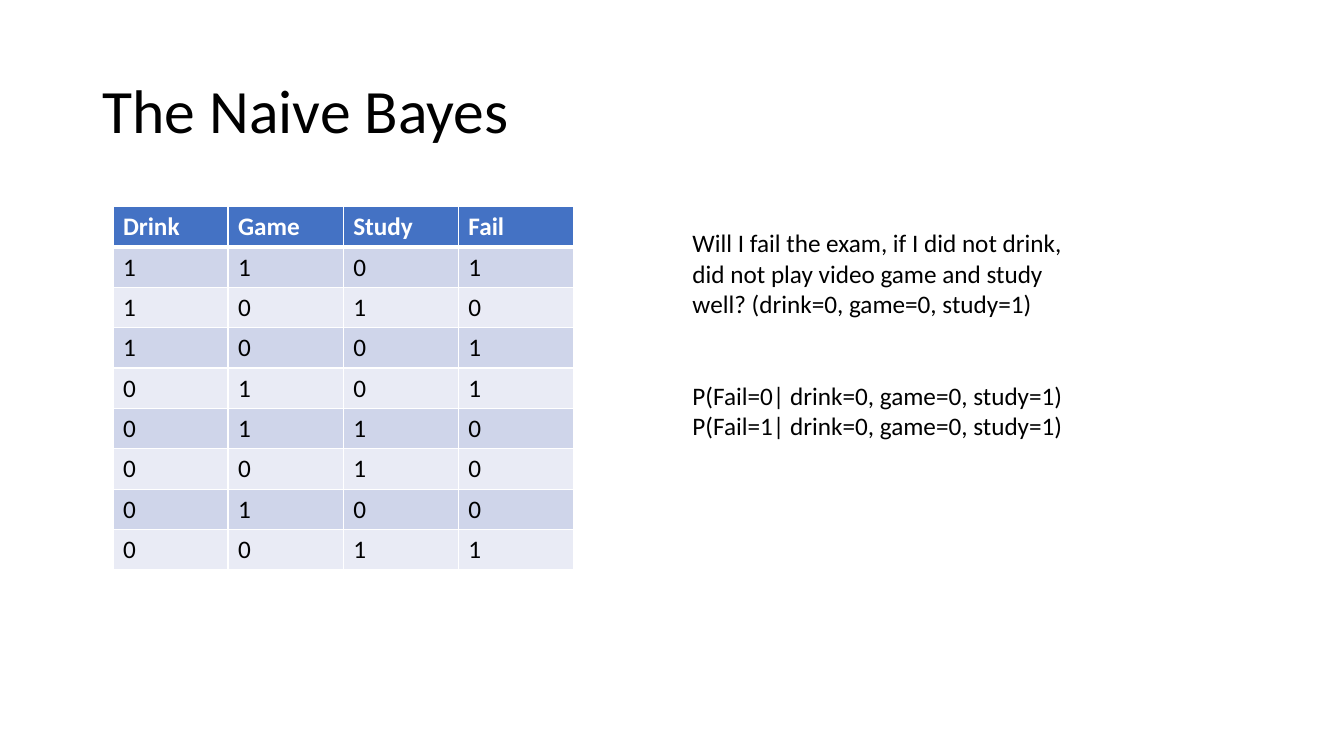
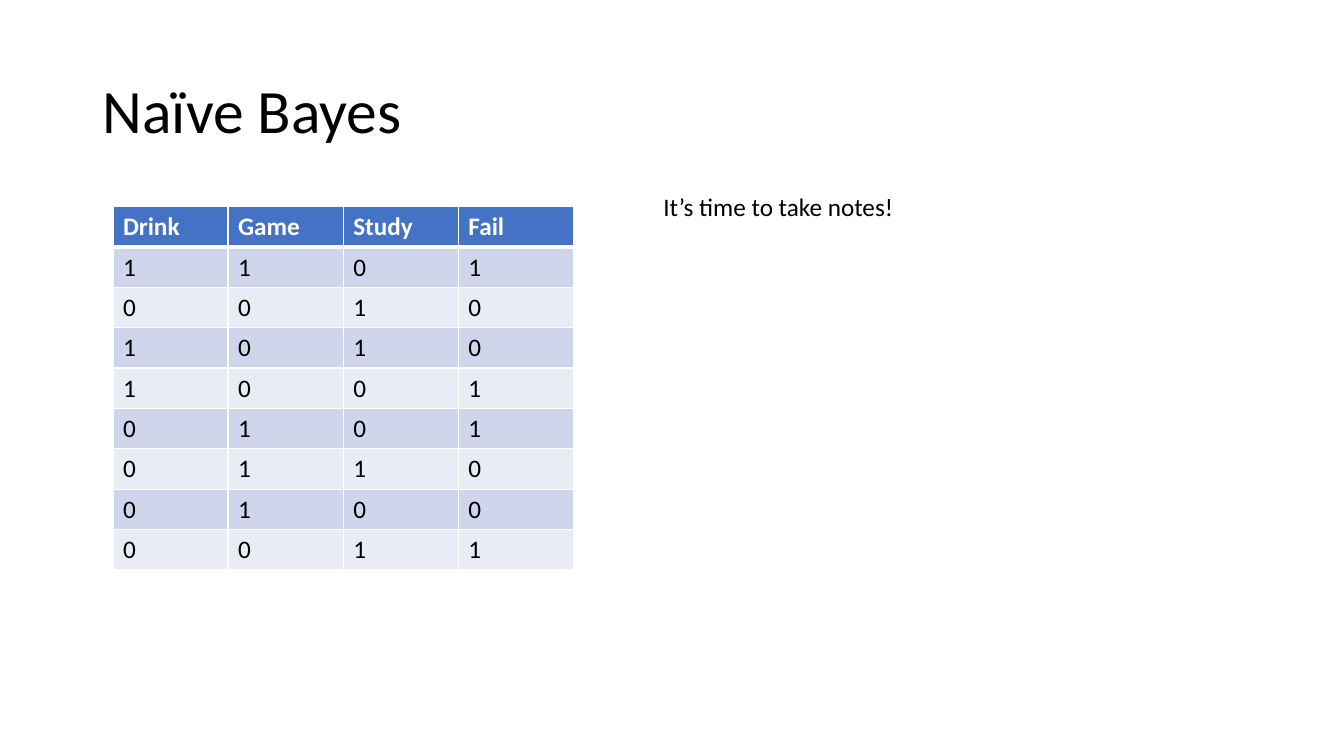
"""Build two slides on the naive Bayes exam example, each with a data table and a remark."""
from lxml import etree
from pptx import Presentation
from pptx import util as u
from pptx.dml.color import RGBColor
from pptx.enum import text
from pptx.oxml.ns import qn

FONT = "Calibri"
BLACK, WHITE, BLUE = "000000", "FFFFFF", "4472C4"
BANDS = ("CFD5EA", "E9EBF5")
TITLE_AREA = (0.92, 0.4, 11.5, 1.45)
TABLE_AREA = (1.12, 2.05, 4.57, 3.6)
THIN, THICK = 1, 3
HEADER = ("Drink", "Game", "Study", "Fail")

SLIDES = [
    {
        "title": "The Naive Bayes",
        "rows": ["1101", "1010", "1001", "0101", "0110", "0010", "0100", "0011"],
        "area": (6.77, 2.21, 4, 2.22),
        "remarks": [
            ("Will I fail the exam, if I did not drink, did not play video game "
             "and study well? (drink=0, game=0, study=1)", 0),
            ("P(Fail=0| drink=0, game=0, study=1)", 44),
            ("P(Fail=1| drink=0, game=0, study=1)", 0),
        ],
    },
    {
        "title": "Naïve Bayes",
        "rows": ["1101", "0010", "1010", "1001", "0101", "0110", "0100", "0011"],
        "area": (6.48, 1.85, 4.71, 0.4),
        "remarks": [("It’s time to take notes!", 0)],
    },
]


def rgb(value):
    return RGBColor.from_string(value)


def inches(area):
    return [u.Inches(length) for length in area]


def write(para, words, size=18, color=BLACK, bold=False, **layout):
    span = para.add_run()
    span.text = words
    span.font.color.rgb = rgb(color)
    for name, value in {"name": FONT, "size": u.Pt(size), "bold": bold}.items():
        setattr(span.font, name, value)
    for name, value in layout.items():
        setattr(para, name, value)


def add_box(page, area, **frame_format):
    frame = page.shapes.add_textbox(*inches(area)).text_frame
    for name, value in {"word_wrap": True, **frame_format}.items():
        setattr(frame, name, value)
    return frame


def add_title(page, words):
    frame = add_box(page, TITLE_AREA, vertical_anchor=text.MSO_ANCHOR.MIDDLE)
    write(frame.paragraphs[0], words, size=44, line_spacing=0.9)


def add_remarks(page, area, remarks):
    frame = add_box(page, area, auto_size=text.MSO_AUTO_SIZE.SHAPE_TO_FIT_TEXT)
    for index, (words, gap) in enumerate(remarks):
        para = frame.add_paragraph() if index else frame.paragraphs[0]
        write(para, words, space_before=u.Pt(gap))


def set_borders(cell, **widths):
    properties = cell._tc.get_or_add_tcPr()
    for side in "LRTB":
        width = u.Pt(widths.get(side, THIN))
        line = etree.SubElement(properties, qn(f"a:ln{side}"), w=str(width))
        fill = etree.SubElement(line, qn("a:solidFill"))
        etree.SubElement(fill, qn("a:srgbClr"), val=WHITE)


def add_data_table(page, rows):
    grid = [HEADER, *rows]
    table = page.shapes.add_table(len(grid), len(HEADER), *inches(TABLE_AREA)).table
    for row_index, values in enumerate(grid):
        is_header = row_index == 0
        fill = BLUE if is_header else BANDS[(row_index - 1) % 2]
        color = WHITE if is_header else BLACK
        widths = {0: {"B": THICK}, 1: {"T": THICK}}.get(row_index, {})
        for column_index, value in enumerate(values):
            cell = table.cell(row_index, column_index)
            set_borders(cell, **widths)
            cell.fill.solid()
            cell.fill.fore_color.rgb = rgb(fill)
            write(cell.text_frame.paragraphs[0], value, color=color, bold=is_header)


def main():
    deck = Presentation()
    deck.slide_width, deck.slide_height = inches((13.33, 7.5))
    for content in SLIDES:
        page = deck.slides.add_slide(deck.slide_layouts[6])
        add_title(page, content["title"])
        add_data_table(page, content["rows"])
        add_remarks(page, content["area"], content["remarks"])
    deck.save("out.pptx")


if __name__ == "__main__":
    main()
